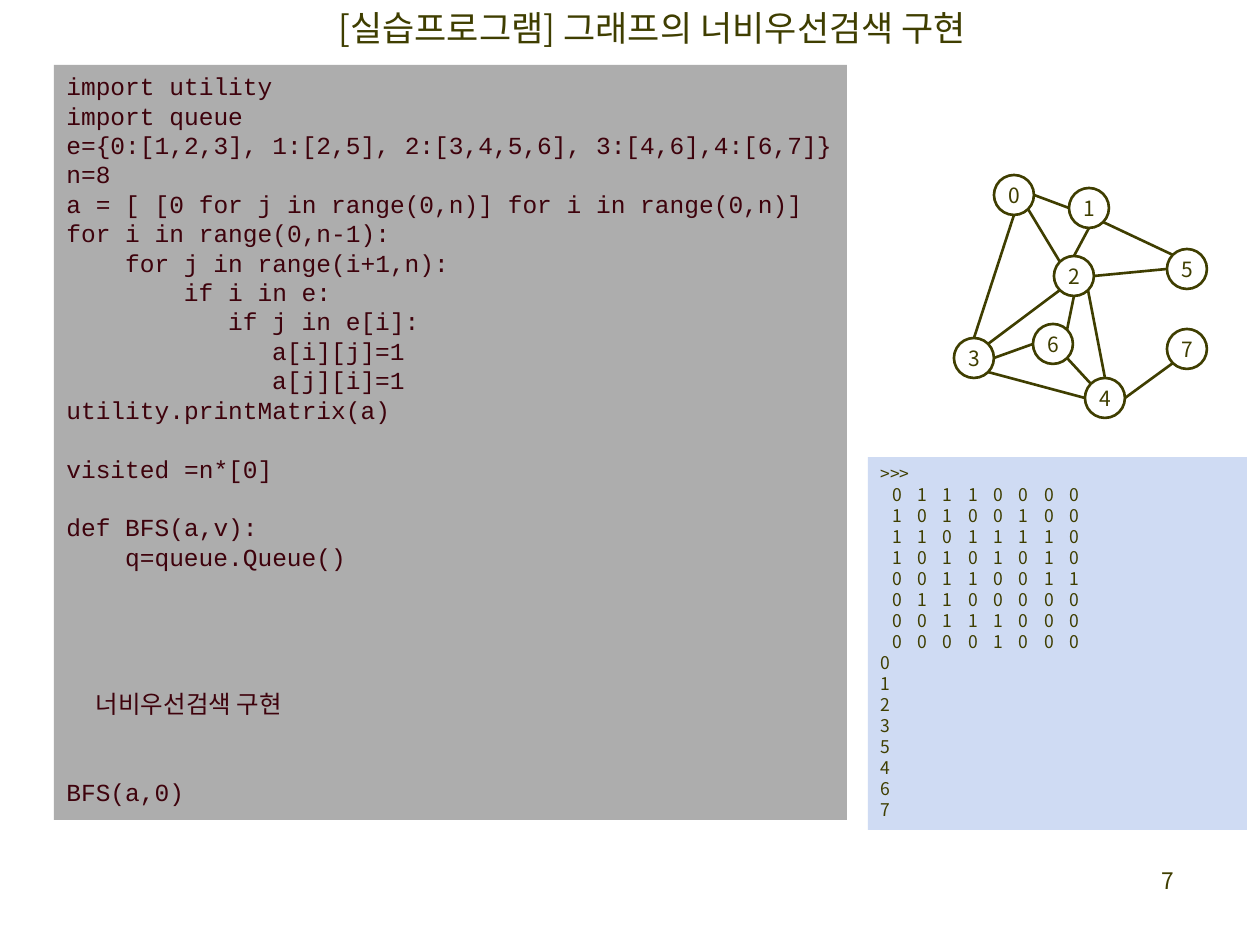
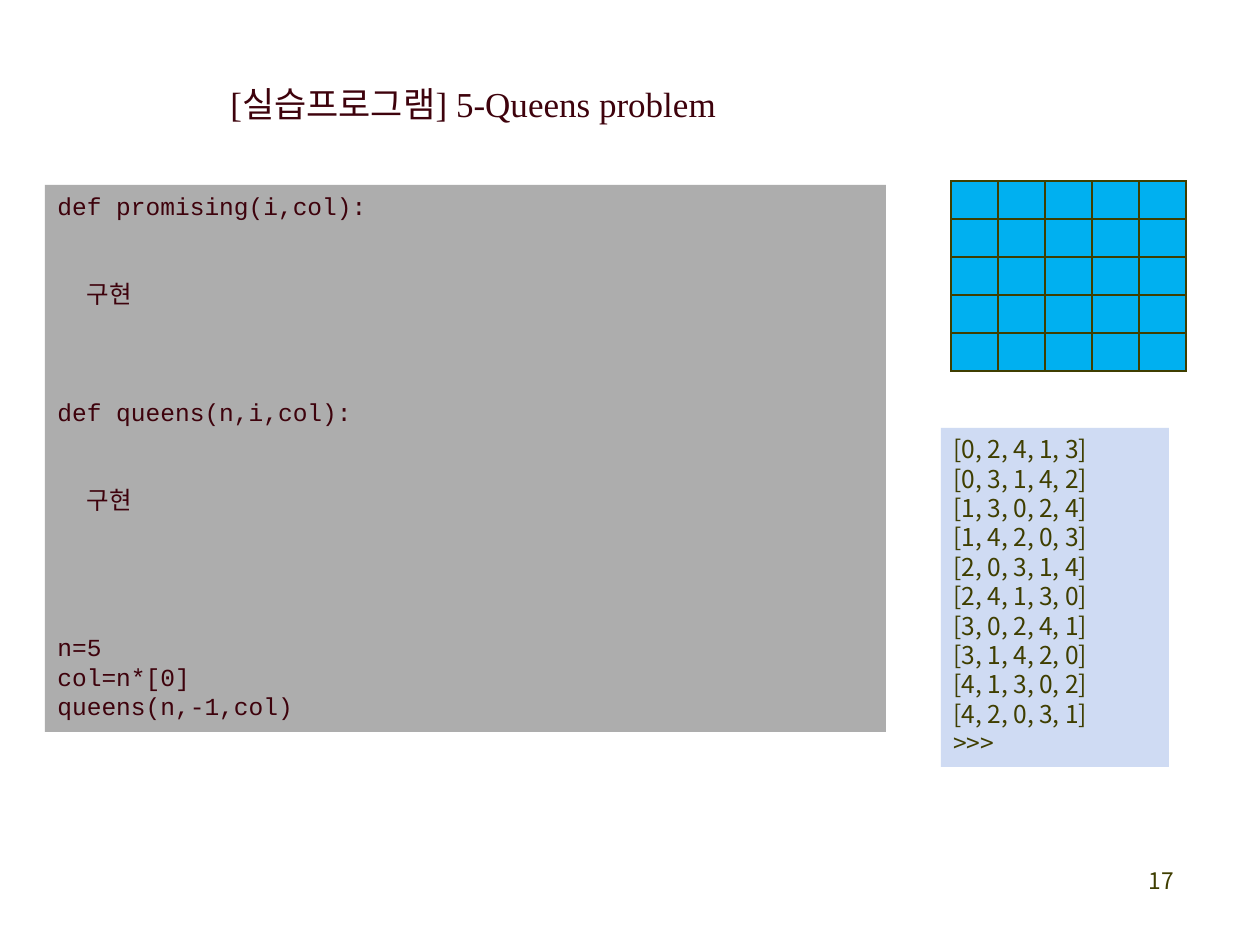
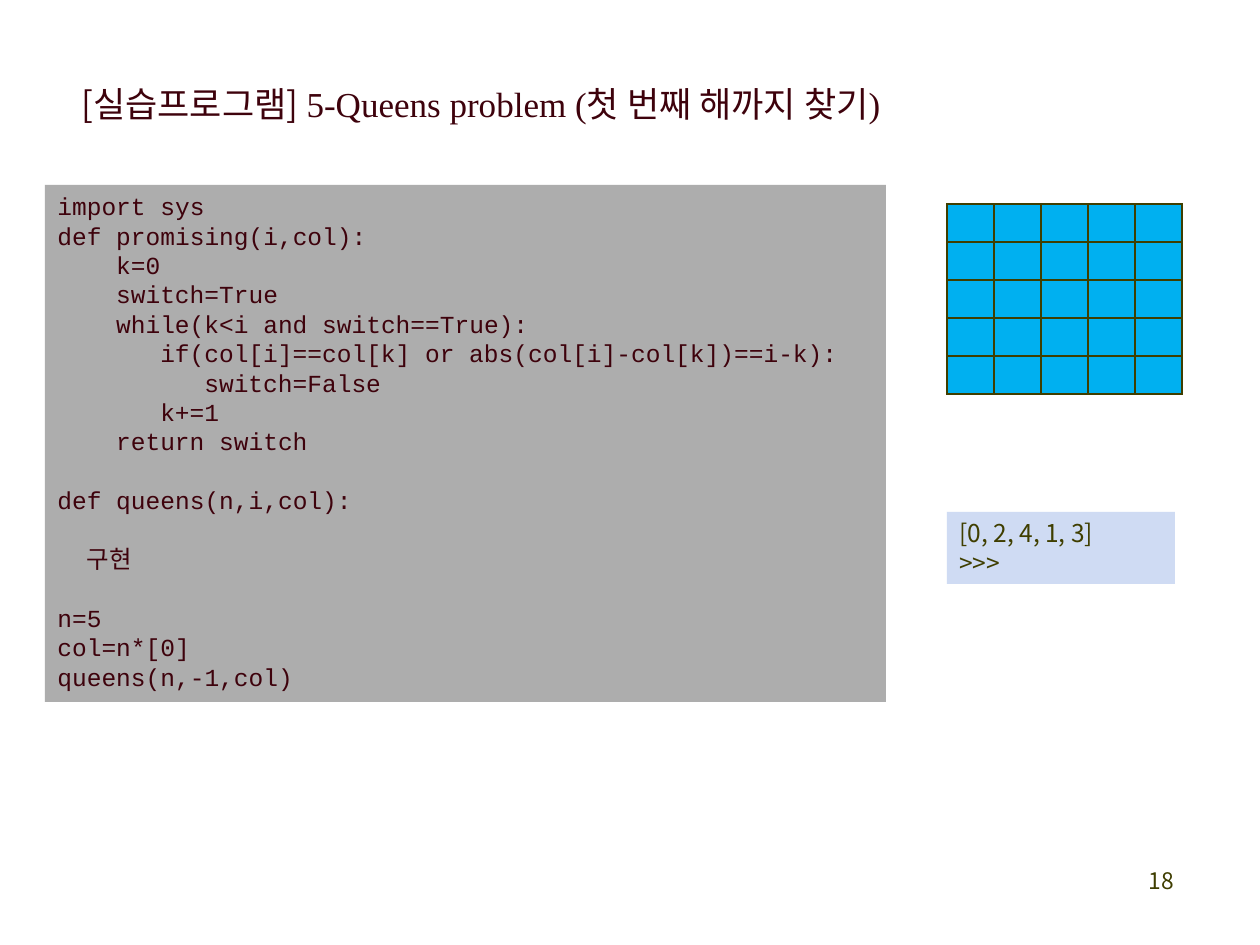
from lxml import etree
from pptx import Presentation, util as u
from pptx.dml.color import RGBColor
from pptx.enum import shapes, text
from pptx.oxml.ns import qn

OLIVE = RGBColor(0x3F, 0x3E, 0x00)
MAROON = RGBColor(0x3E, 0x02, 0x0C)
CODE_GRAY = RGBColor(0xAD, 0xAD, 0xAD)
OUTPUT_BLUE = RGBColor(0xCF, 0xDB, 0xF3)
BOARD_BLUE = RGBColor(0x00, 0xB0, 0xF0)

SANS, SERIF, MONO = "Noto Sans CJK KR", "Times New Roman", "Courier New"
CODE_SIZE = 14
CODE_CHAR = 0.6 * CODE_SIZE  # width of one monospaced character, points
LEADING = 1.2
PX_PER_INCH = 126

# Graph: node centres within its box, and edges as (node, side, node, side)
NODE = 40
CENTRES = [(60, 20), (135, 33), (120, 101), (20, 183),
           (151, 223), (233, 94), (99, 169), (233, 174)]
SIDES = {"N": (0, -20), "E": (20, 0), "S": (0, 20), "W": (-20, 0),
         "NE": (14, -14), "SE": (14, 14), "SW": (-14, 14), "NW": (-14, -14)}
EDGES = [(0, "S", 3, "N"), (3, "NE", 2, "SW"), (1, "S", 2, "N"),
         (1, "SE", 5, "NW"), (0, "E", 1, "W"), (2, "S", 6, "NE"),
         (6, "W", 3, "E"), (6, "SE", 4, "NW"), (4, "E", 7, "SW"),
         (5, "W", 2, "E"), (4, "W", 3, "SE"), (2, "SE", 4, "N"),
         (0, "SE", 2, "NW")]

BFS_CODE = """\
import utility
import queue
e={0:[1,2,3], 1:[2,5], 2:[3,4,5,6], 3:[4,6],4:[6,7]}
n=8
a = [ [0 for j in range(0,n)] for i in range(0,n)]
for i in range(0,n-1):
    for j in range(i+1,n):
        if i in e:
           if j in e[i]:
              a[i][j]=1
              a[j][i]=1
utility.printMatrix(a)

visited =n*[0]

def BFS(a,v):
    q=queue.Queue()




  너비우선검색 구현


BFS(a,0)"""

QUEENS_CODE = """\
def promising(i,col):


  구현



def queens(n,i,col):


  구현




n=5
col=n*[0]
queens(n,-1,col)"""

FIRST_QUEENS_CODE = """\
import sys
def promising(i,col):
    k=0
    switch=True
    while(k<i and switch==True):
       if(col[i]==col[k] or abs(col[i]-col[k])==i-k):
          switch=False
       k+=1
    return switch

def queens(n,i,col):

  구현

n=5
col=n*[0]
queens(n,-1,col)"""

SOLUTIONS = ["[0, 2, 4, 1, 3]", "[0, 3, 1, 4, 2]", "[1, 3, 0, 2, 4]",
             "[1, 4, 2, 0, 3]", "[2, 0, 3, 1, 4]", "[2, 4, 1, 3, 0]",
             "[3, 0, 2, 4, 1]", "[3, 1, 4, 2, 0]", "[4, 1, 3, 0, 2]",
             "[4, 2, 0, 3, 1]"]
PROMPT = ">>>"


def px(length):
    return u.Emu(round(length * u.Inches(1) / PX_PER_INCH))


def set_font(paragraph, size, name, color):
    font = paragraph.font
    font.size, font.name, font.color.rgb = u.Pt(size), name, color
    paragraph.line_spacing = u.Pt(size * LEADING)
    defaults = paragraph._p.get_or_add_pPr().find(qn("a:defRPr"))
    etree.SubElement(defaults, qn("a:ea"), typeface=SANS)


def add_lines(frame, lines, size, name, color):
    """Fill the frame: blank lines become spacing, leading spaces an indent."""
    frame.word_wrap = True
    blanks, paragraph = 0, None
    for line in lines:
        if not line:
            blanks += 1
            continue
        paragraph = frame.add_paragraph() if paragraph else frame.paragraphs[0]
        words = line.lstrip(" ")
        paragraph.text = words
        paragraph.alignment = text.PP_ALIGN.LEFT
        paragraph.space_before = u.Pt(blanks * size * LEADING)
        indent = u.Pt((len(line) - len(words)) * CODE_CHAR)
        paragraph._p.get_or_add_pPr().set("marL", str(int(indent)))
        set_font(paragraph, size, name, color)
        blanks = 0


def add_panel(slide, box, fill, lines, size, name, color):
    panel = slide.shapes.add_shape(shapes.MSO_SHAPE.RECTANGLE, *map(px, box))
    panel.shadow.inherit = False
    panel.fill.solid()
    panel.fill.fore_color.rgb = fill
    panel.line.fill.background()
    panel.text_frame.vertical_anchor = text.MSO_ANCHOR.TOP
    add_lines(panel.text_frame, lines, size, name, color)
    return panel


def add_code(slide, box, code):
    add_panel(slide, box, CODE_GRAY, code.split("\n"), CODE_SIZE, MONO, MAROON)


def add_output(slide, box, lines, size=14):
    return add_panel(slide, box, OUTPUT_BLUE, lines, size, SANS, OLIVE)


def add_title(slide, box, parts, color):
    """Parts are (words, font) pairs; the first font is the paragraph's."""
    title = slide.shapes.add_textbox(*map(px, box)).text_frame
    title.word_wrap = True
    paragraph = title.paragraphs[0]
    set_font(paragraph, 20, parts[0][1], color)
    for words, name in parts:
        run = paragraph.add_run()
        run.text = words
        if name != parts[0][1]:
            run.font.name = name


def add_page_number(slide, number):
    corner = slide.shapes.add_textbox(px(924), px(861), px(262), px(63))
    add_lines(corner.text_frame, [str(number)], 13, SANS, OLIVE)
    corner.text_frame.paragraphs[0].alignment = text.PP_ALIGN.RIGHT


def add_graph(slide, left, top):
    # Nodes
    for number, (x, y) in enumerate(CENTRES):
        node = slide.shapes.add_shape(
            shapes.MSO_SHAPE.OVAL, px(left + x - NODE / 2),
            px(top + y - NODE / 2), px(NODE), px(NODE))
        node.shadow.inherit = False
        node.fill.background()
        node.line.color.rgb, node.line.width = OLIVE, u.Pt(1.5)
        label = node.text_frame
        label.margin_left = label.margin_right = 0
        label.margin_top = label.margin_bottom = 0
        label.vertical_anchor = text.MSO_ANCHOR.MIDDLE
        add_lines(label, [str(number)], 12, SANS, OLIVE)
        label.paragraphs[0].alignment = text.PP_ALIGN.CENTER

    # Edges
    def end(node, side):
        (x, y), (dx, dy) = CENTRES[node], SIDES[side]
        return px(left + x + dx), px(top + y + dy)

    for start, start_side, stop, stop_side in EDGES:
        edge = slide.shapes.add_connector(
            shapes.MSO_CONNECTOR.STRAIGHT,
            *end(start, start_side), *end(stop, stop_side))
        edge.line.color.rgb, edge.line.width = OLIVE, u.Pt(1.5)
        etree.SubElement(edge._element.spPr, qn("a:effectLst"))


def add_matrix_output(slide, box):
    """The adjacency matrix in tabbed columns, then the visiting order."""
    linked = {frozenset((a, b)) for a, _, b, _ in EDGES}
    nodes = range(len(CENTRES))
    rows = ["".join(f"\t{int(frozenset((i, j)) in linked)}" for j in nodes)
            for i in nodes]
    output = add_output(slide, box, [PROMPT, *rows, *"01235467"], 10)
    for paragraph in output.text_frame.paragraphs[1:len(rows) + 1]:
        stops = etree.Element(qn("a:tabLst"))
        for column in nodes:
            etree.SubElement(stops, qn("a:tab"), algn="l",
                             pos=str(int(px(12 + 25.3 * column))))
        paragraph._p.pPr.find(qn("a:defRPr")).addprevious(stops)


def add_board(slide, left, top, size=5, column=47, row=38):
    board = slide.shapes.add_table(size, size, px(left), px(top),
                                   px(size * column), px(size * row)).table
    board.first_row = board.horz_banding = False
    for line in board.columns:
        line.width = px(column)
    for line in board.rows:
        line.height = px(row)
    for square in board.iter_cells():
        square.margin_top = square.margin_bottom = 0
        square.text_frame.paragraphs[0].font.size = u.Pt(10)
        square.fill.solid()
        square.fill.fore_color.rgb = BOARD_BLUE
        properties = square._tc.get_or_add_tcPr()
        for place, side in enumerate(("lnL", "lnR", "lnT", "lnB")):
            border = etree.Element(qn(f"a:{side}"), w=str(int(u.Pt(1))))
            solid = etree.SubElement(border, qn("a:solidFill"))
            etree.SubElement(solid, qn("a:srgbClr"), val=str(OLIVE))
            properties.insert(place, border)


def bfs_slide(slide):
    add_page_number(slide, 7)
    add_code(slide, (54, 65, 793, 755), BFS_CODE)
    add_graph(slide, 954, 175)
    add_matrix_output(slide, (868, 457, 379, 373))
    add_title(slide, (326, 0, 732, 55),
              [("[실습프로그램] 그래프의 너비우선검색 구현", SANS)], OLIVE)


def queens_slide(slide, number, title, title_box, code, code_height,
                 board_at, solutions, output_box):
    add_page_number(slide, number)
    add_code(slide, (45, 185, 841, code_height), code)
    add_output(slide, output_box, [*solutions, PROMPT])
    add_title(slide, title_box, title, MAROON)
    add_board(slide, *board_at)


def main():
    deck = Presentation()
    deck.slide_width, deck.slide_height = u.Inches(10), u.Inches(7.5)
    bfs, queens, first_queens = (
        deck.slides.add_slide(deck.slide_layouts[6]) for _ in range(3))
    bfs_slide(bfs)
    queens_slide(queens, 17,
                 [("[실습프로그램] 5-Queens problem", SERIF)],
                 (218, 76, 532, 55), QUEENS_CODE, 547, (951, 181),
                 SOLUTIONS, (941, 428, 228, 339))
    queens_slide(first_queens, 18,
                 [("[실습프로그램] ", SANS),
                  ("5-Queens problem (첫 번째 해까지 찾기)", SERIF)],
                 (69, 76, 888, 55), FIRST_QUEENS_CODE, 517, (947, 204),
                 SOLUTIONS[:1], (947, 512, 228, 72))
    deck.save("out.pptx")


if __name__ == "__main__":
    main()
